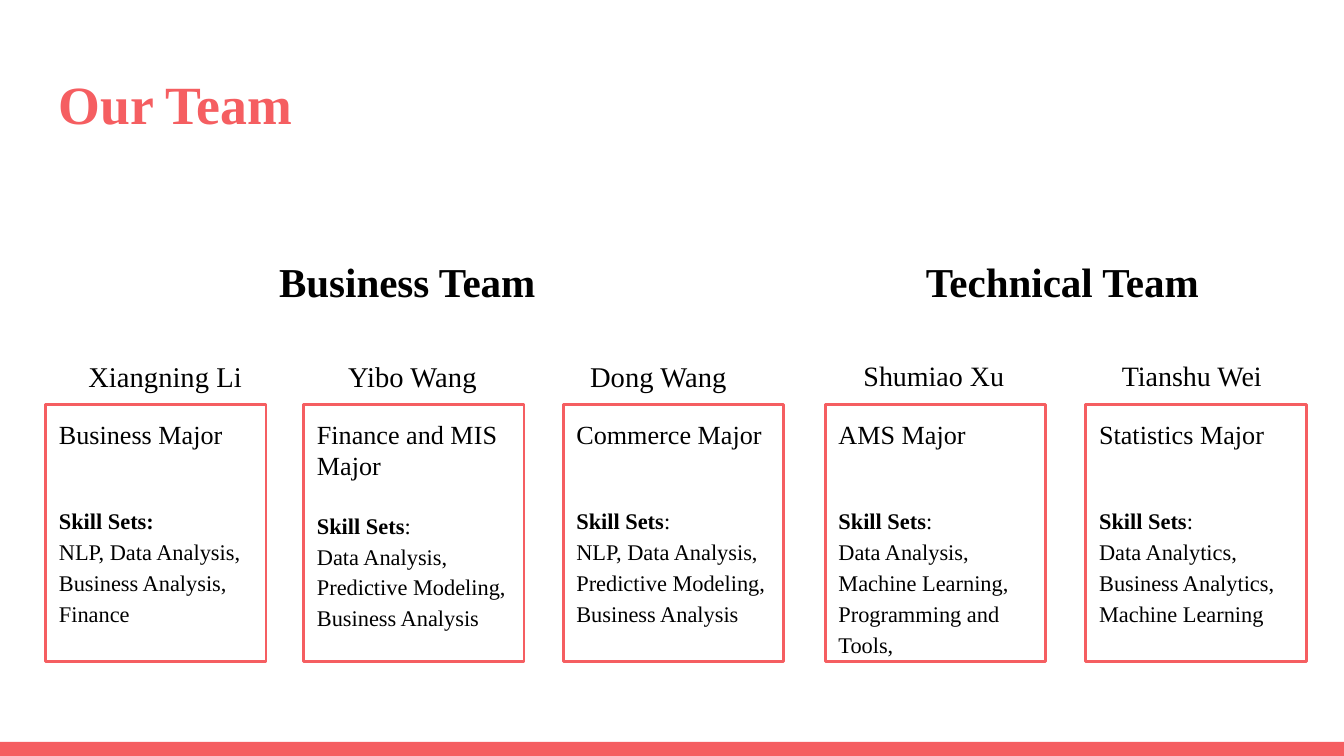
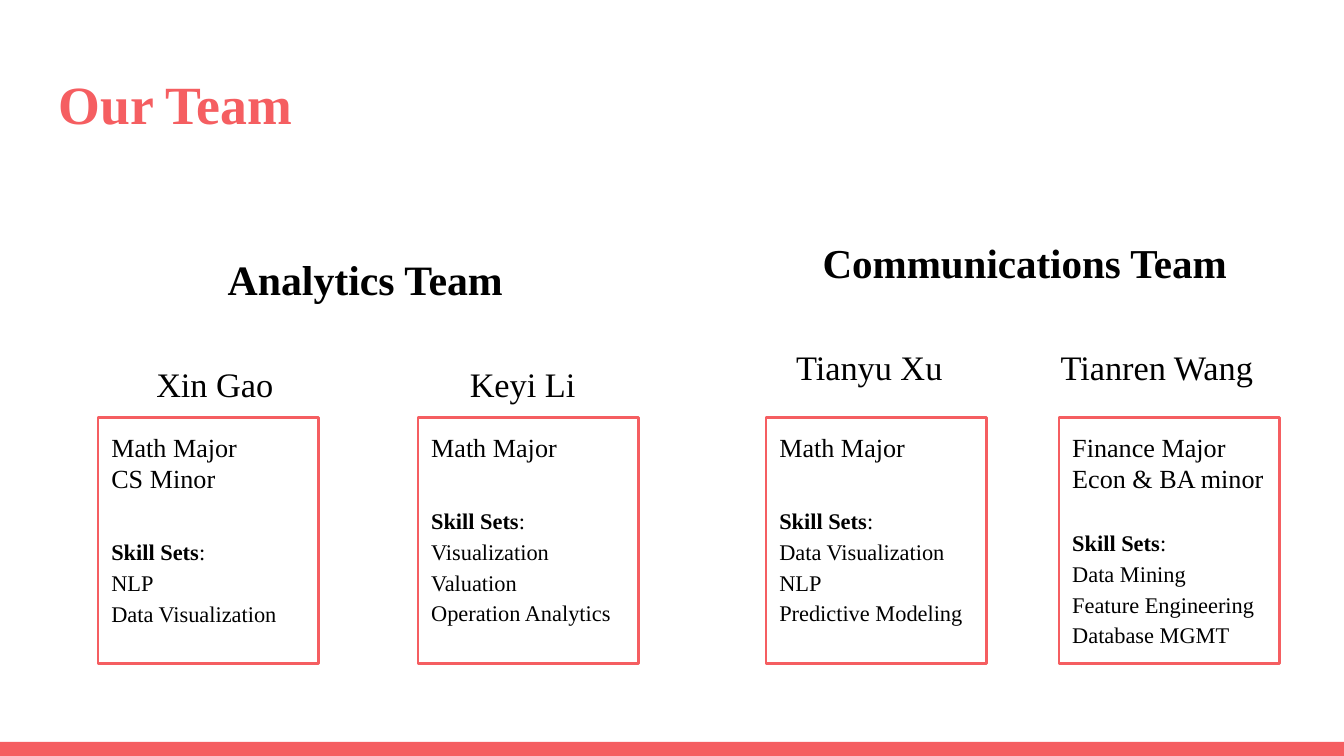
from lxml import etree
from pptx import Presentation
from pptx import util as u
from pptx.dml.color import RGBColor
from pptx.enum import shapes, text
from pptx.oxml.ns import qn

COLORS = {"accent": "F55E61", "ink": "000000"}
FONT = "Times New Roman"
INSET = 0.1
CARD_WIDTH = 1.64


def add_text(para, content, size, color="ink", bold=False):
    """Append one formatted run to a paragraph."""
    span = para.add_run()
    span.text = content
    span.font.name = FONT
    span.font.size = u.Pt(size)
    span.font.bold = bold
    span.font.color.rgb = RGBColor.from_string(COLORS[color])


class TeamDeck:
    def __init__(self):
        self.deck = Presentation()
        self.deck.slide_width = u.Inches(10)
        self.deck.slide_height = u.Inches(10) * 9 // 16
        self.page = None

    def add_page(self, title):
        self.page = self.deck.slides.add_slide(self.deck.slide_layouts[6])
        band = self.rectangle(0, 5.52, 10, 0.11)
        band.fill.solid()
        band.fill.fore_color.rgb = RGBColor.from_string(COLORS["accent"])
        band.line.fill.background()
        frame = self.text_box(0.34, 0.43, 9.32, 0.68)
        add_text(frame.paragraphs[0], title, 28.8, color="accent", bold=True)

    def rectangle(self, left, top, width, height):
        box = self.page.shapes.add_shape(
            shapes.MSO_SHAPE.RECTANGLE, *map(u.Inches, (left, top, width, height)))
        box.shadow.inherit = False
        return box

    def text_box(self, left, top, width, height):
        box = self.page.shapes.add_textbox(*map(u.Inches, (left, top, width, height)))
        return self.prepare(box.text_frame)

    def prepare(self, frame):
        frame.word_wrap = True
        frame.vertical_anchor = text.MSO_ANCHOR.TOP
        frame.margin_left = frame.margin_right = u.Inches(INSET)
        frame.margin_top = frame.margin_bottom = u.Inches(INSET)
        return frame

    def team(self, area, name, size, members, member_size):
        """Centred team name above members, each centred on a tab stop."""
        frame = self.text_box(*area)
        heading = frame.paragraphs[0]
        heading.alignment = text.PP_ALIGN.CENTER
        heading.line_spacing = 1.9
        add_text(heading, name, size, bold=True)

        row = frame.add_paragraph()
        row.alignment = text.PP_ALIGN.LEFT
        row.line_spacing = 1.9
        row.space_before = u.Pt(12)
        stops = etree.SubElement(row._p.get_or_add_pPr(), qn("a:tabLst"))
        for center in members.values():
            offset = u.Inches(center - area[0] - INSET)
            etree.SubElement(stops, qn("a:tab"), pos=str(offset), algn="ctr")
        add_text(row, "".join("\t" + member for member in members), member_size)

    def card(self, left, top, height, studies, gap, skills, bold_colon=False):
        """Outlined card with studies on top and skills below."""
        box = self.rectangle(left, top, CARD_WIDTH, height)
        box.fill.background()
        box.line.color.rgb = RGBColor.from_string(COLORS["accent"])
        box.line.width = u.Pt(1.5)
        frame = self.prepare(box.text_frame)
        for index, study in enumerate(studies):
            para = frame.add_paragraph() if index else frame.paragraphs[0]
            para.alignment = text.PP_ALIGN.LEFT
            add_text(para, study, 14)

        label = frame.add_paragraph()
        label.space_before = u.Pt(gap)
        if bold_colon:
            add_text(label, "Skill Sets:", 12, bold=True)
        else:
            add_text(label, "Skill Sets", 12, bold=True)
            add_text(label, ":", 12)
        lines = [label]
        for skill in skills:
            para = frame.add_paragraph()
            add_text(para, skill, 12)
            lines.append(para)
        for para in lines:
            para.alignment = text.PP_ALIGN.LEFT
            para.line_spacing = 1.15


def main():
    show = TeamDeck()

    # Business and technical teams
    show.add_page("Our Team")
    show.team((5.84, 1.48, 4.13, 1.43), "Technical Team", 22,
              {"Shumiao Xu": 6.95, "Tianshu Wei": 8.87}, 15)
    show.team((0.39, 1.48, 5.28, 1.37), "Business Team", 22,
              {"Xiangning Li": 1.23, "Yibo Wang": 3.07, "Dong Wang": 4.9}, 15.3)
    for left, study, gap, skills in (
        (0.34, "Business Major", 29, "NLP, Data Analysis, Business Analysis, Finance"),
        (2.26, "Finance and MIS Major", 14.5,
         "Data Analysis, Predictive Modeling, Business Analysis"),
        (4.19, "Commerce Major", 29,
         "NLP, Data Analysis, Predictive Modeling, Business Analysis"),
        (6.14, "AMS Major", 29,
         "Data Analysis, Machine Learning, Programming and Tools,"),
        (8.08, "Statistics Major", 29,
         "Data Analytics, Business Analytics, Machine Learning"),
    ):
        show.card(left, 3.01, 1.91, [study], gap, [skills],
                  bold_colon=study == "Business Major")

    # Analytics and communications teams
    show.add_page("Our Team")
    show.team((0.29, 1.45, 4.86, 1.91), "Analytics Team", 22.4,
              {"Xin Gao": 1.6, "Keyi Li": 3.89}, 18.4)
    show.team((5.56, 1.34, 4.13, 1.91), "Communications Team", 22,
              {"Tianyu Xu": 6.47, "Tianren Wang": 8.61}, 18.4)
    for left, studies, gap, skills in (
        (0.73, ["Math Major", "CS Minor"], 21.5, ["NLP", "Data Visualization"]),
        (3.11, ["Math Major"], 21.5,
         ["Visualization", "Valuation", "Operation Analytics"]),
        (5.7, ["Math Major"], 21.5,
         ["Data Visualization", "NLP", "Predictive Modeling"]),
        (7.88, ["Finance Major", "Econ & BA minor"], 16.5,
         ["Data Mining", "Feature Engineering", "Database MGMT"]),
    ):
        show.card(left, 3.11, 1.83, studies, gap, skills)

    show.deck.save("out.pptx")


if __name__ == "__main__":
    main()
